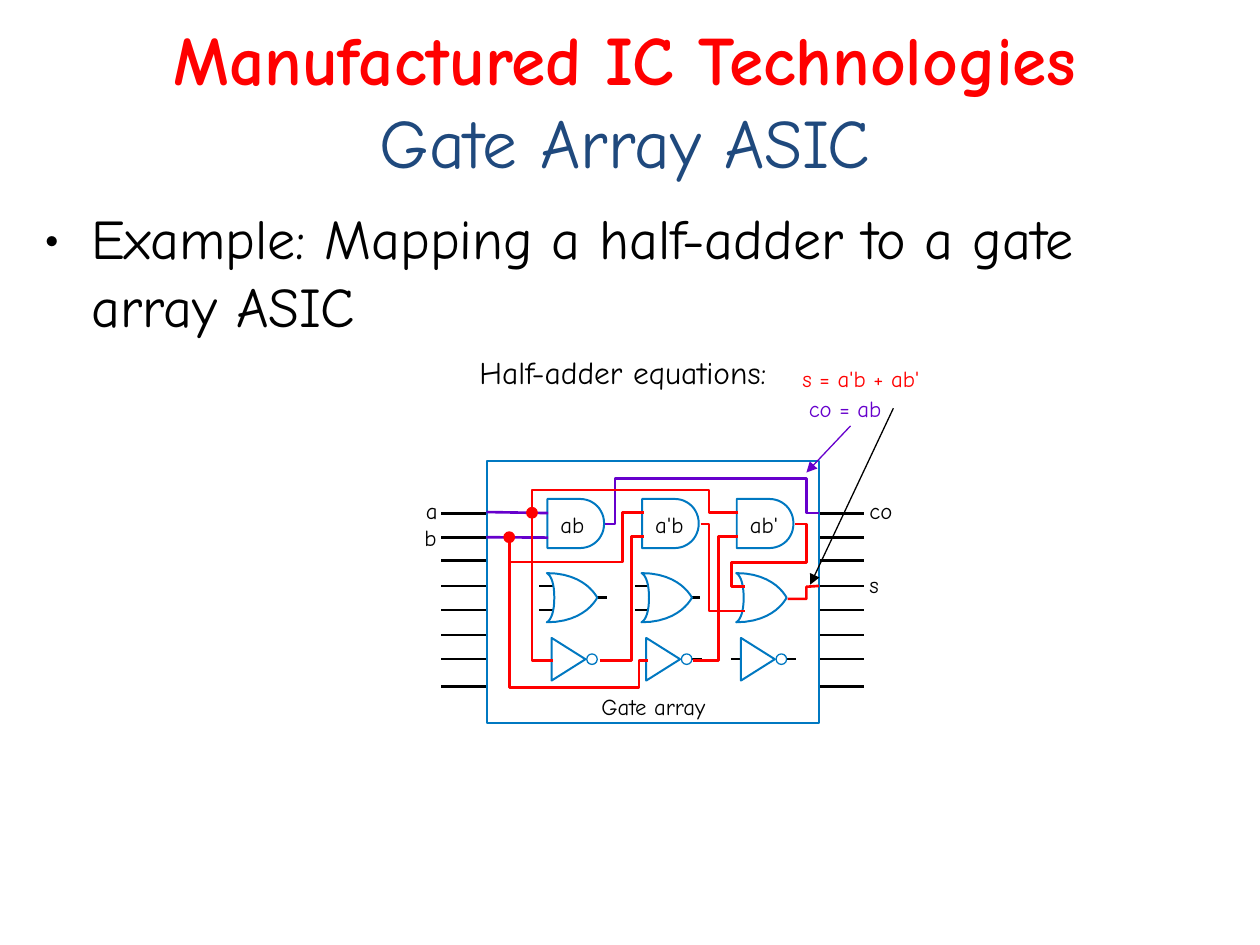
import pptx
import pptx.dml.color
import pptx.enum.shapes
import pptx.enum.text
import pptx.oxml.ns
import pptx.util
from lxml import etree

Pt = pptx.util.Pt
ALIGN = pptx.enum.text.PP_ALIGN
BLACK, WHITE, RED, PURPLE, BLUE, NAVY = (
    "000000", "FFFFFF", "FF0000", "6600CC", "0078C1", "1F497D")


def color(value):
    return pptx.dml.color.RGBColor.from_string(value)


def add_xml(parent, tag, **attributes):
    return etree.SubElement(parent, pptx.oxml.ns.qn(tag), attributes)


def bezier(start, first, second, end, steps=12):
    curve = []
    for step in range(1, steps + 1):
        t = step / steps
        weights = ((1 - t) ** 3, 3 * t * (1 - t) ** 2, 3 * t * t * (1 - t), t ** 3)
        controls = (start, first, second, end)
        curve.append(tuple(sum(w * point[axis] for w, point in zip(weights, controls))
                           for axis in (0, 1)))
    return curve


class Diagram:
    """Draws styled text, wires and logic gates on one slide."""

    font = "Comic Neue"

    def __init__(self, page):
        self.page = page

    def text(self, left, top, width, height, spans, size, align=ALIGN.LEFT,
             wrap=False, inset=None, middle=False):
        box = self.page.shapes.add_textbox(Pt(left), Pt(top), Pt(width), Pt(height))
        frame = box.text_frame
        frame.word_wrap = wrap
        if middle:
            frame.vertical_anchor = pptx.enum.text.MSO_ANCHOR.MIDDLE
        if inset is not None:
            frame.margin_left = frame.margin_right = Pt(inset)
            frame.margin_top = frame.margin_bottom = Pt(inset)
        para = frame.paragraphs[0]
        para.alignment = align
        para.font.name, para.font.size = self.font, Pt(size)
        for index, (words, shade, bold) in enumerate(spans):
            if index:
                para.add_line_break()
            span = para.add_run()
            span.text = words
            span.font.color.rgb, span.font.bold = color(shade), bold
        return para

    def label(self, left, top, width, words, shade=BLACK, align=ALIGN.LEFT):
        self.text(left, top, width, 15.84, [(words, shade, False)], 13, align, inset=0)

    def bullet(self, left, top, width, height, words, size, indent):
        para = self.text(left, top, width, height, [(words, BLACK, False)], size, wrap=True)
        para.space_before = Pt(size * 0.2)
        properties = para._p.get_or_add_pPr()
        properties.set("marL", str(Pt(indent)))
        properties.set("indent", str(Pt(-indent)))
        defaults = properties.find(pptx.oxml.ns.qn("a:defRPr"))
        for tag, attributes in (("a:buFont", {"typeface": self.font}),
                                ("a:buChar", {"char": "•"})):
            defaults.addprevious(etree.Element(pptx.oxml.ns.qn(tag), attributes))

    def line(self, x1, y1, x2, y2, shade=BLACK, weight=1.5, arrow=False):
        line = self.page.shapes.add_connector(
            pptx.enum.shapes.MSO_CONNECTOR.STRAIGHT, Pt(x1), Pt(y1), Pt(x2), Pt(y2))
        line.line.color.rgb, line.line.width = color(shade), Pt(weight)
        if arrow:
            add_xml(line.line._get_or_add_ln(), "a:tailEnd", type="triangle")
        add_xml(line._element.spPr, "a:effectLst")

    def paint(self, shape, fill, shade, weight):
        shape.shadow.inherit = False
        if fill:
            shape.fill.solid()
            shape.fill.fore_color.rgb = color(fill)
        else:
            shape.fill.background()
        shape.line.color.rgb, shape.line.width = color(shade), Pt(weight)

    def outline(self, points, shade, weight, fill=None, close=False):
        corners = [(Pt(x), Pt(y)) for x, y in points]
        builder = self.page.shapes.build_freeform(*corners[0])
        builder.add_line_segments(corners[1:], close=close)
        self.paint(builder.convert_to_shape(), fill, shade, weight)

    def wire(self, points, shade=RED):
        self.outline(points, shade, 1.5)

    def gate(self, left, top, points):
        placed = [(left + x, top + y) for x, y in points]
        self.outline(placed, BLUE, 1.13, WHITE, close=True)

    def dot(self, left, top, fill, shade):
        dot = self.page.shapes.add_shape(
            pptx.enum.shapes.MSO_SHAPE.OVAL, Pt(left), Pt(top), Pt(6), Pt(6))
        self.paint(dot, fill, shade, 0.75)


def draw_array(diagram):
    pins = (293.3, 307.3, 320.4, 334.8, 348.5, 362.9, 376.6, 392.4)
    for left in (252, 468):
        for y in pins:
            diagram.line(left, y, left + 26, y)
    diagram.outline([(278.6, 263.7), (468, 263.7), (468, 413.1), (278.6, 413.1)],
                    BLUE, 1.13, close=True)

    for left in (308.2, 362.9):
        for y in (334.8, 348.5):
            diagram.line(left, y, left + 8, y)
    stubs = ((341.3, 341.3), (394.6, 341.3), (395.3, 376.6), (449.3, 376.6), (417.6, 376.6))
    for left, y in stubs:
        diagram.line(left, y, left + 5.7, y)

    and_gate = [(0, 28.1), (18.5, 28.1),
                *bezier((18.5, 28.1), (26.4, 28.1), (32.4, 22), (32.4, 14.05)),
                *bezier((32.4, 14.05), (32.4, 6.1), (26.4, 0), (18.5, 0)), (0, 0)]
    tip, low, high, back = (28.8, 14.05), (0, 28.1), (0, 0), (4.3, 14.05)
    or_gate = [tip, *bezier(tip, tip, (22.3, 28.1), low),
               *bezier(low, low, (4.3, 26.6), back),
               *bezier(back, (4.3, 1.5), high, high),
               *bezier(high, (22.3, 0), tip, tip)]
    inverter = [(0, 24.4), (19.4, 12.2), (0, 0)]
    for column, words in enumerate(("ab", "a'b", "ab'")):
        left = 312.8 + 54.1 * column
        diagram.gate(left, 285.1, and_gate)
        diagram.gate(left - 0.3, 327.5, or_gate)
        diagram.gate(left + 2.4, 364.5, inverter)
        diagram.dot(left + 22.5, 373.7, WHITE, BLUE)
        diagram.label(left + 7.5, 291.6, 22, words)

    diagram.label(328.3, 396, 90, "Gate array", align=ALIGN.CENTER)
    diagram.label(243.4, 283.7, 8, "a")
    diagram.label(242.6, 299.5, 9, "b")
    diagram.label(496.8, 283.7, 24, "co")
    diagram.label(496.8, 326.2, 8, "s")


def draw_wiring(diagram):
    diagram.line(278, 292.6, 313.2, 293.2, PURPLE)
    diagram.line(278, 307, 313.2, 307.2, PURPLE)
    diagram.wire([(468, 293.2), (460.8, 293.2), (460.8, 273.4), (351.4, 273.4),
                  (351.4, 299.5), (345.6, 299.5)], PURPLE)
    diagram.line(486, 243.4, 460.8, 270, PURPLE, 0.75, arrow=True)
    red_wires = (
        [(291, 321.1), (355.7, 321.1), (355.7, 293), (367.9, 293)],
        [(370, 377.3), (365.2, 377.3), (365.2, 392.9), (291, 392.9), (291, 306.7)],
        [(342.7, 377.3), (360.7, 377.3), (360.7, 306.7), (367.9, 306.7)],
        [(450, 342.2), (460.8, 342.2), (460.8, 335.3), (468, 334.8)],
        [(400.3, 299.5), (405.2, 299.5), (405.2, 349.2), (425.5, 349.2)],
        [(454.3, 299.5), (461, 299.5), (461, 321.6), (418.1, 321.6),
         (418.1, 335.2), (425.5, 335.2)],
        [(396, 377.3), (410.6, 377.3), (410.6, 306.7), (421.9, 306.7)],
        [(421.9, 293), (405.2, 293), (405.2, 280.1), (304, 280.1),
         (304, 377.3), (316, 377.3)],
    )
    for points in red_wires:
        diagram.wire(points)
    diagram.line(510.5, 233.3, 463, 334.1, BLACK, 0.75, arrow=True)
    diagram.dot(301, 290, RED, RED)
    diagram.dot(288, 304, RED, RED)


def main():
    deck = pptx.Presentation()
    deck.slide_width, deck.slide_height = Pt(720), Pt(540)
    diagram = Diagram(deck.slides.add_slide(deck.slide_layouts[6]))
    diagram.text(18, 23.76, 678.24, 66.24,
                 [("Manufactured IC Technologies", RED, True), ("Gate Array ASIC", NAVY, False)],
                 39.6, ALIGN.CENTER, wrap=True, middle=True)
    diagram.bullet(18, 113, 663.8, 383.8,
                   "Example: Mapping a half-adder to a gate array ASIC", 32, 27)
    diagram.text(256.3, 198, 199.4, 28.8, [("Half-adder equations:", BLACK, False)], 18,
                 ALIGN.CENTER)
    diagram.label(458.6, 208.6, 80, "s = a'b + ab'", RED)
    diagram.label(462.2, 225.4, 50, "co = ab", PURPLE)
    draw_array(diagram)
    draw_wiring(diagram)
    deck.save("out.pptx")


if __name__ == "__main__":
    main()
